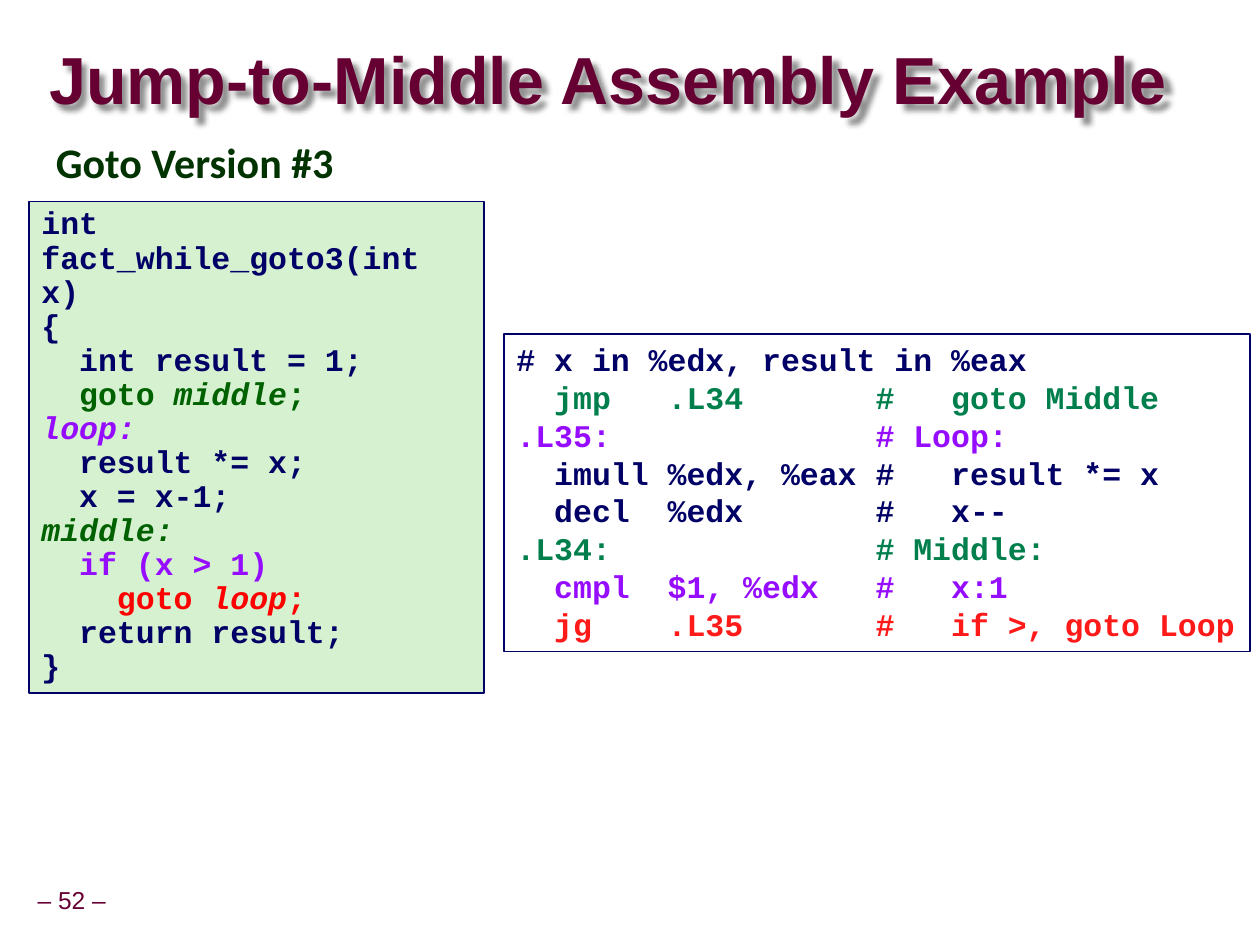
from lxml import etree
from pptx import Presentation
from pptx.dml.color import RGBColor
from pptx.enum.shapes import MSO_SHAPE
from pptx.enum.text import MSO_ANCHOR, PP_ALIGN
from pptx.util import Inches, Pt

RECTANGLE = MSO_SHAPE.RECTANGLE
TOP, MIDDLE = MSO_ANCHOR.TOP, MSO_ANCHOR.MIDDLE
LEFT, CENTER = PP_ALIGN.LEFT, PP_ALIGN.CENTER

COLORS = {
    "maroon": "660033", "navy": "000066", "heading": "003300",
    "mint": "D5F1CF", "green": "006100", "teal": "007F4D",
    "purple": "950CFF", "red": "FF0000", "scarlet": "FF1A1A",
}

presentation = Presentation()
presentation.slide_width, presentation.slide_height = Inches(10), Inches(7.5)
slide = presentation.slides.add_slide(presentation.slide_layouts[6])
column = presentation.slide_width / 100
row = presentation.slide_height / 75


def rgb(name):
    return RGBColor.from_string(COLORS[name])


def fill_text(shape, lines, font, size, bold=True, align=LEFT, spacing=1.0,
              anchor=TOP, margins=(0.1, 0.05), wrap=True):
    frame = shape.text_frame
    frame.word_wrap = wrap
    frame.vertical_anchor = anchor
    frame.margin_left = frame.margin_right = Inches(margins[0])
    frame.margin_top = frame.margin_bottom = Inches(margins[1])
    for index, runs in enumerate(lines):
        paragraph = frame.add_paragraph() if index else frame.paragraphs[0]
        paragraph.alignment = align
        paragraph.line_spacing = spacing
        for text, color, *style in runs:
            run = paragraph.add_run()
            run.text = text
            run.font.name = font
            run.font.size = Pt(size)
            run.font.bold = bold
            run.font.italic = "italic" in style
            run.font.color.rgb = rgb(color)


labels = [
    ("Jump-to-Middle Assembly Example", (3.9, 2.5, 96.1, 8.3), "maroon",
     dict(font="Arial", size=38, spacing=0.87, anchor=MIDDLE, margins=(0, 0))),
    ("Goto Version #3", (1.7, 10.8, 27.5, 5.2), "heading",
     dict(font="Calibri", size=24, spacing=0.9, align=CENTER)),
    ("– 52 –", (2.4, 70, 6.6, 3.1), "maroon",
     dict(font="Arial", size=14, bold=False, spacing=0.9, align=CENTER,
          anchor=MIDDLE, margins=(0.05, 0.05), wrap=False)),
]
label_shapes = []
for text, (left, top, width, height), color, options in labels:
    shape = slide.shapes.add_textbox(
        int(left * column), int(top * row), int(width * column), int(height * row))
    fill_text(shape, [[(text, color)]], **options)
    label_shapes.append(shape)

title = label_shapes[0]
title.fill.background()
title._element.spPr.append(etree.fromstring(
    '<a:effectLst xmlns:a="http://schemas.openxmlformats.org/drawingml/2006/main">'
    '<a:outerShdw blurRad="38100" dist="50800" dir="2700000" algn="tl" rotWithShape="0">'
    '<a:srgbClr val="000000"><a:alpha val="43000"/></a:srgbClr>'
    '</a:outerShdw></a:effectLst>'))

goto_code = [
    [("int fact_while_goto3(int x)", "navy")],
    [("{", "navy")],
    [("  int result = 1;", "navy")],
    [("  goto ", "green"), ("middle", "green", "italic"), (";", "green")],
    [("loop:", "purple", "italic")],
    [("  result *= x;", "navy")],
    [("  x = x-1;", "navy")],
    [("middle:", "green", "italic")],
    [("  if (x > 1)", "purple")],
    [("    goto ", "red"), ("loop", "red", "italic"), (";", "red")],
    [("  return result;", "navy")],
    [("}", "navy")],
]
assembly_code = [
    [("# x in %edx, result in %eax", "navy")],
    [("  jmp   .L34       #   goto Middle", "teal")],
    [(".L35:              # Loop:", "purple")],
    [("  imull %edx, %eax #   result *= x", "navy")],
    [("  decl  %edx       #   x--", "navy")],
    [(".L34:              # Middle:", "teal")],
    [("  cmpl  $1, %edx   #   x:1", "purple")],
    [("  jg    .L35       #   if >, goto Loop", "scarlet")],
]
code_boxes = [
    (goto_code, (2.3, 16, 36.1, 39), "mint", 0.9),
    (assembly_code, (40, 26.5, 59.2, 25.2), None, 1.0),
]
for lines, (left, top, width, height), background, spacing in code_boxes:
    shape = slide.shapes.add_shape(
        RECTANGLE,
        int(left * column), int(top * row), int(width * column), int(height * row))
    shape.shadow.inherit = False
    if background:
        shape.fill.solid()
        shape.fill.fore_color.rgb = rgb(background)
    else:
        shape.fill.background()
    shape.line.color.rgb = rgb("navy")
    shape.line.width = Pt(1)
    fill_text(shape, lines, "Courier New", 18, spacing=spacing)

presentation.save("out.pptx")
